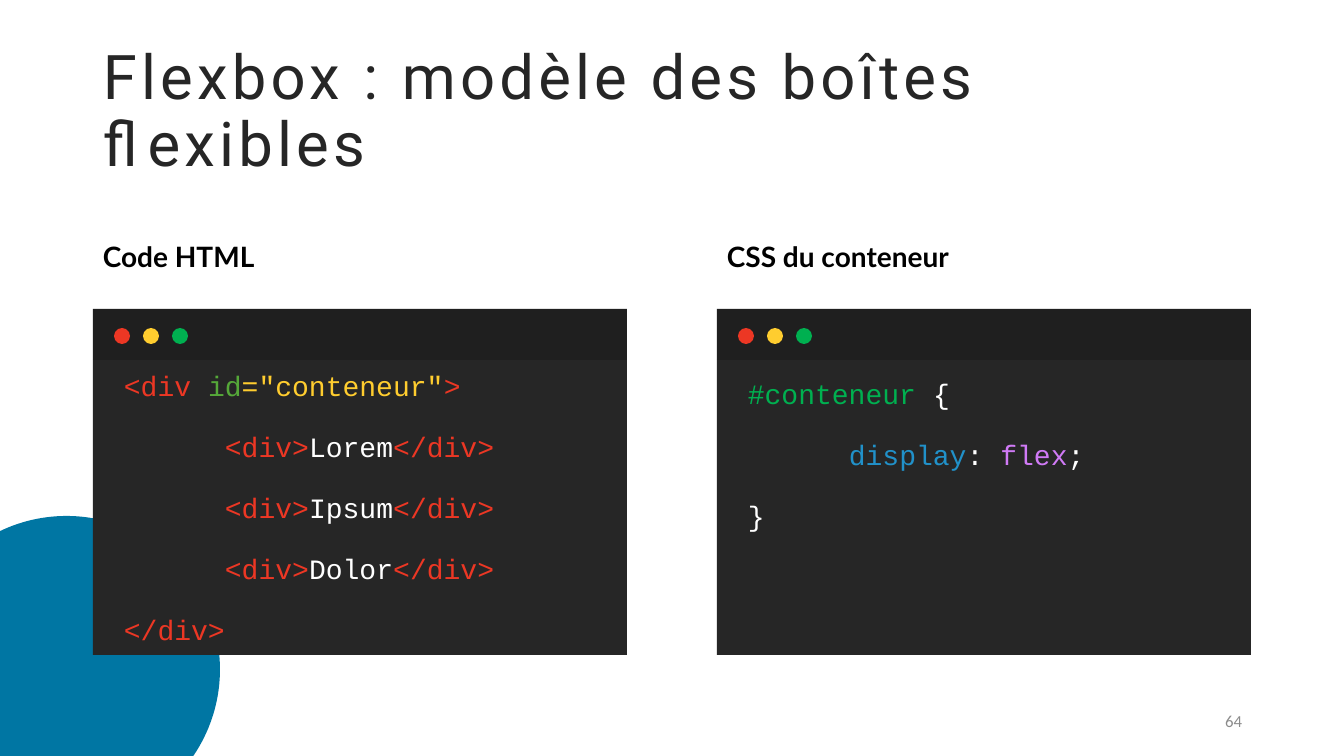
from lxml.etree import SubElement
from pptx import Presentation
from pptx.dml.color import RGBColor
from pptx.enum.shapes import MSO_SHAPE as Preset
from pptx.enum.text import MSO_ANCHOR as Anchor, PP_ALIGN as Align
from pptx.oxml.ns import qn
from pptx.util import Pt

TITLE = "Flexbox : modèle des boîtes flexibles"
PAGE_NUMBER = "64"
RED, YELLOW, GREEN, WHITE = "EC3724", "FFCD2F", "00B050", "FFFFFF"
BUTTON_COLORS = [RED, YELLOW, GREEN]


def child_line(word):
    return [("\t<div>", RED), (word, WHITE), ("</div>", RED)]


HTML_CODE = [
    [("<div ", RED), ("id", "55A839"), ('="conteneur"', YELLOW), (">", RED)],
    child_line("Lorem"),
    child_line("Ipsum"),
    child_line("Dolor"),
    [("</div>", RED)],
]
CSS_CODE = [
    [("#conteneur ", GREEN), ("{", WHITE)],
    [("\tdisplay", "2191C9"), (": ", WHITE), ("flex", "D07AF6"), (";", WHITE)],
    [("}", WHITE)],
]
PANELS = [
    {"heading": "Code HTML", "left": 93, "code": HTML_CODE, "code_box": (361, 479, 286)},
    {"heading": "CSS du conteneur", "left": 717, "code": CSS_CODE, "code_box": (369, 496, 199)},
]
PANEL_WIDTH = 534
BAR_TOP, BODY_TOP, BODY_BOTTOM = 309, 360, 655
BUTTON_SIZE, BUTTON_STEP, BUTTON_INSET = 16, 29, 21
TAB_STOP = 101


def px(value):
    return round(value * 914400 / 100.8)


def color(value):
    return RGBColor.from_string(value)


def add_shape(slide, preset, box, fill):
    shape = slide.shapes.add_shape(preset, *map(px, box))
    shape.shadow.inherit = False
    shape.fill.solid()
    shape.fill.fore_color.rgb = color(fill)
    shape.line.fill.background()


def add_text_frame(slide, box, anchor):
    text_frame = slide.shapes.add_textbox(*map(px, box)).text_frame
    text_frame.word_wrap = True
    text_frame.vertical_anchor = anchor
    return text_frame


def format_run(run, font_name, size, fill, bold=False):
    run.font.name = font_name
    run.font.size = Pt(size)
    run.font.bold = bold
    run.font.color.rgb = color(fill)


def add_label(slide, text, box, anchor, font_name, size, fill, bold=False):
    paragraph = add_text_frame(slide, box, anchor).paragraphs[0]
    paragraph.text = text
    format_run(paragraph.runs[0], font_name, size, fill, bold)
    return paragraph


def add_code(slide, lines, box):
    text_frame = add_text_frame(slide, box, Anchor.TOP)
    for index, line in enumerate(lines):
        paragraph = text_frame.add_paragraph() if index else text_frame.paragraphs[0]
        paragraph.line_spacing = 1.07
        paragraph.space_before = Pt(10 if index else 0)
        paragraph.space_after = Pt(8)
        tabs = SubElement(paragraph._p.get_or_add_pPr(), qn("a:tabLst"))
        SubElement(tabs, qn("a:tab"), pos=str(px(TAB_STOP)), algn="l")
        for text, fill in line:
            run = paragraph.add_run()
            run.text = text
            format_run(run, "Courier New", 20, fill)


def add_panel(slide, panel):
    left = panel["left"]
    heading = add_label(slide, panel["heading"], (left, 234, PANEL_WIDTH, 44),
                        Anchor.BOTTOM, "Lato", 20, "000000", True)
    heading.line_spacing = 0.9
    add_shape(slide, Preset.RECTANGLE,
              (left, BODY_TOP, PANEL_WIDTH, BODY_BOTTOM - BODY_TOP), "262626")
    add_shape(slide, Preset.RECTANGLE,
              (left, BAR_TOP, PANEL_WIDTH, BODY_TOP - BAR_TOP), "1F1F1F")
    inner_left = left + BUTTON_INSET
    for index, fill in enumerate(BUTTON_COLORS):
        add_shape(slide, Preset.OVAL,
                  (inner_left + index * BUTTON_STEP, 328, BUTTON_SIZE, BUTTON_SIZE), fill)
    top, width, height = panel["code_box"]
    add_code(slide, panel["code"], (inner_left, top, width, height))


def main():
    presentation = Presentation()
    presentation.slide_width, presentation.slide_height = px(1344), px(756)
    slide = presentation.slides.add_slide(presentation.slide_layouts[6])
    add_shape(slide, Preset.OVAL, (-87, 516, 307, 307), "0076A3")
    title = add_label(slide, TITLE, (93, 40, 1159, 146), Anchor.MIDDLE, "Roboto", 44, "262626")
    title.line_spacing = 0.9
    title.runs[0].font._element.set("spc", "300")
    for panel in PANELS:
        add_panel(slide, panel)
    number = add_label(slide, PAGE_NUMBER, (950, 701, 302, 40), Anchor.MIDDLE,
                       "Calibri", 12, "8C8C8C")
    number.alignment = Align.RIGHT
    presentation.save("out.pptx")


if __name__ == "__main__":
    main()
